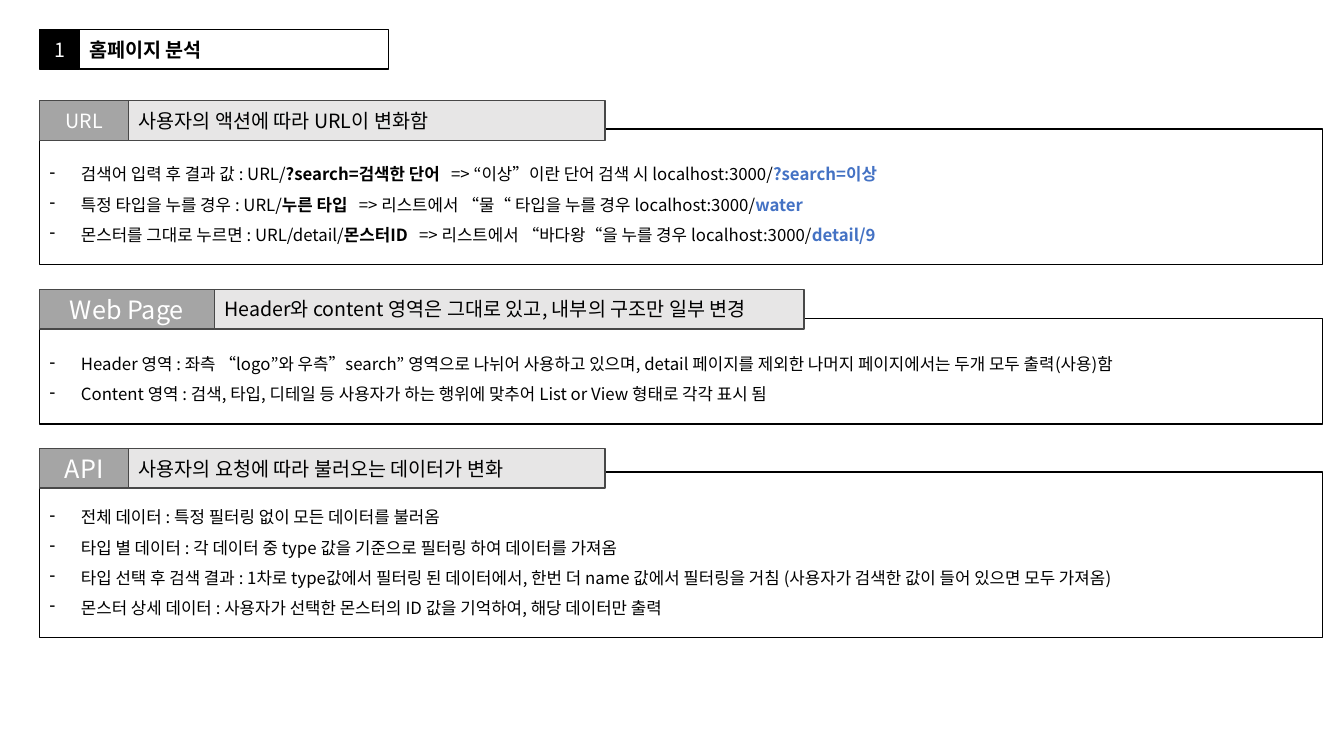
from dataclasses import dataclass

from lxml.etree import SubElement
from pptx import Presentation
from pptx.dml.color import RGBColor
from pptx.enum.shapes import MSO_SHAPE
from pptx.enum.text import MSO_ANCHOR, PP_ALIGN
from pptx.oxml.ns import qn
from pptx.util import Cm, Pt


@dataclass(frozen=True)
class Theme:
    font: str = "Noto Sans CJK KR"
    black: RGBColor = RGBColor(0x00, 0x00, 0x00)
    white: RGBColor = RGBColor(0xFF, 0xFF, 0xFF)
    tag_gray: RGBColor = RGBColor(0xA5, 0xA5, 0xA5)
    heading_gray: RGBColor = RGBColor(0xE7, 0xE6, 0xE6)
    border_gray: RGBColor = RGBColor(0x48, 0x48, 0x48)
    accent: RGBColor = RGBColor(0x44, 0x72, 0xC4)
    tag_size: int = 18
    heading_size: int = 14
    body_size: int = 12
    gap_spacing: int = 540


theme = Theme()


def add_box(left, top, width, height, fill, border):
    box = slide.shapes.add_shape(MSO_SHAPE.RECTANGLE, Cm(left), Cm(top), Cm(width), Cm(height))
    box.shadow.inherit = False
    box.fill.solid()
    box.fill.fore_color.rgb = fill
    box.line.color.rgb = border
    box.line.width = Pt(1)
    frame = box.text_frame
    frame.word_wrap = True
    frame.vertical_anchor = MSO_ANCHOR.MIDDLE
    frame.paragraphs[0].alignment = PP_ALIGN.LEFT
    return frame


def add_text(paragraph, text, size, color, bold=False):
    run = paragraph.add_run()
    run.text = text
    run.font.size = Pt(size)
    run.font.bold = bold
    run.font.color.rgb = color
    run.font.name = theme.font
    properties = run._r.get_or_add_rPr()
    SubElement(properties, qn("a:ea"), typeface=theme.font)
    return properties


presentation = Presentation()
presentation.slide_width = Cm(33.87)
presentation.slide_height = Cm(19.05)
slide = presentation.slides.add_slide(presentation.slide_layouts[6])

margin = 1
bar_height = 1
body_width = 32.33
body_padding = 1.14
line_height = 0.76

number = add_box(margin, 0.74, 1, bar_height, theme.black, theme.black)
number.paragraphs[0].alignment = PP_ALIGN.CENTER
add_text(number.paragraphs[0], "1", theme.heading_size, theme.white)
title = add_box(margin + 1, 0.74, 7.8, bar_height, theme.white, theme.black)
add_text(title.paragraphs[0], "홈페이지 분석", theme.heading_size, theme.black, True)

sections = [
    ("URL", theme.heading_size, 2.54, 3.25, 2.24, 12.01, "사용자의 액션에 따라 URL이 변화함", [
        ("검색어 입력 후 결과 값 : URL/", "?search=검색한 단어",
         "=> “이상”이란 단어 검색 시 localhost:3000/", "?search=이상"),
        ("특정 타입을 누를 경우 : URL/", "누른 타입",
         "=> 리스트에서 “물“ 타입을 누를 경우 localhost:3000/", "water"),
        ("몬스터를 그대로 누르면 : URL/detail/", "몬스터ID",
         "=> 리스트에서 “바다왕“을 누를 경우 localhost:3000/", "detail/9"),
    ]),
    ("Web Page", theme.tag_size, 7.29, 8.03, 4.4, 14.86,
     "Header와 content 영역은 그대로 있고, 내부의 구조만 일부 변경", [
        ("Header 영역 : 좌측 “logo”와 우측”search” 영역으로 나뉘어 사용하고 있으며, "
         "detail 페이지를 제외한 나머지 페이지에서는 두개 모두 출력(사용)함",),
        ("Content 영역 : 검색, 타입, 디테일 등 사용자가 하는 행위에 맞추어 List or View 형태로 각각 표시 됨",),
    ]),
    ("API", theme.tag_size, 11.3, 11.89, 2.24, 12.01, "사용자의 요청에 따라 불러오는 데이터가 변화", [
        ("전체 데이터 : 특정 필터링 없이 모든 데이터를 불러옴",),
        ("타입 별 데이터 : 각 데이터 중 type 값을 기준으로 필터링 하여 데이터를 가져옴",),
        ("타입 선택 후 검색 결과 : 1차로 type값에서 필터링 된 데이터에서, 한번 더 name 값에서 "
         "필터링을 거침 (사용자가 검색한 값이 들어 있으면 모두 가져옴)",),
        ("몬스터 상세 데이터 : 사용자가 선택한 몬스터의 ID 값을 기억하여, 해당 데이터만 출력",),
    ]),
]

for tag_text, tag_size, bar_top, body_top, tag_width, heading_width, heading_text, items in sections:
    body_height = body_padding + line_height * len(items)
    body = add_box(margin, body_top, body_width, body_height, theme.white, theme.black)
    body.vertical_anchor = MSO_ANCHOR.BOTTOM
    body.margin_bottom = Cm(0.5)
    for index, item in enumerate(items):
        line = body.paragraphs[0] if index == 0 else body.add_paragraph()
        line.alignment = PP_ALIGN.LEFT
        line.line_spacing = 1.5
        layout = line._p.get_or_add_pPr()
        layout.set("marL", str(Cm(0.79)))
        layout.set("indent", str(-Cm(0.79)))
        SubElement(layout, qn("a:buFontTx"))
        SubElement(layout, qn("a:buChar"), char="-")
        for part, text in enumerate(item):
            if part == 2:
                gap = add_text(line, " ", theme.body_size, theme.black)
                gap.set("spc", str(theme.gap_spacing))
            color = theme.accent if part == 3 else theme.black
            add_text(line, text, theme.body_size, color, part in (1, 3))

    tag = add_box(margin, bar_top, tag_width, bar_height, theme.tag_gray, theme.border_gray)
    tag.paragraphs[0].alignment = PP_ALIGN.CENTER
    add_text(tag.paragraphs[0], tag_text, tag_size, theme.white)
    heading = add_box(margin + tag_width, bar_top, heading_width, bar_height,
                      theme.heading_gray, theme.border_gray)
    add_text(heading.paragraphs[0], heading_text, theme.heading_size, theme.black)

presentation.save("out.pptx")
